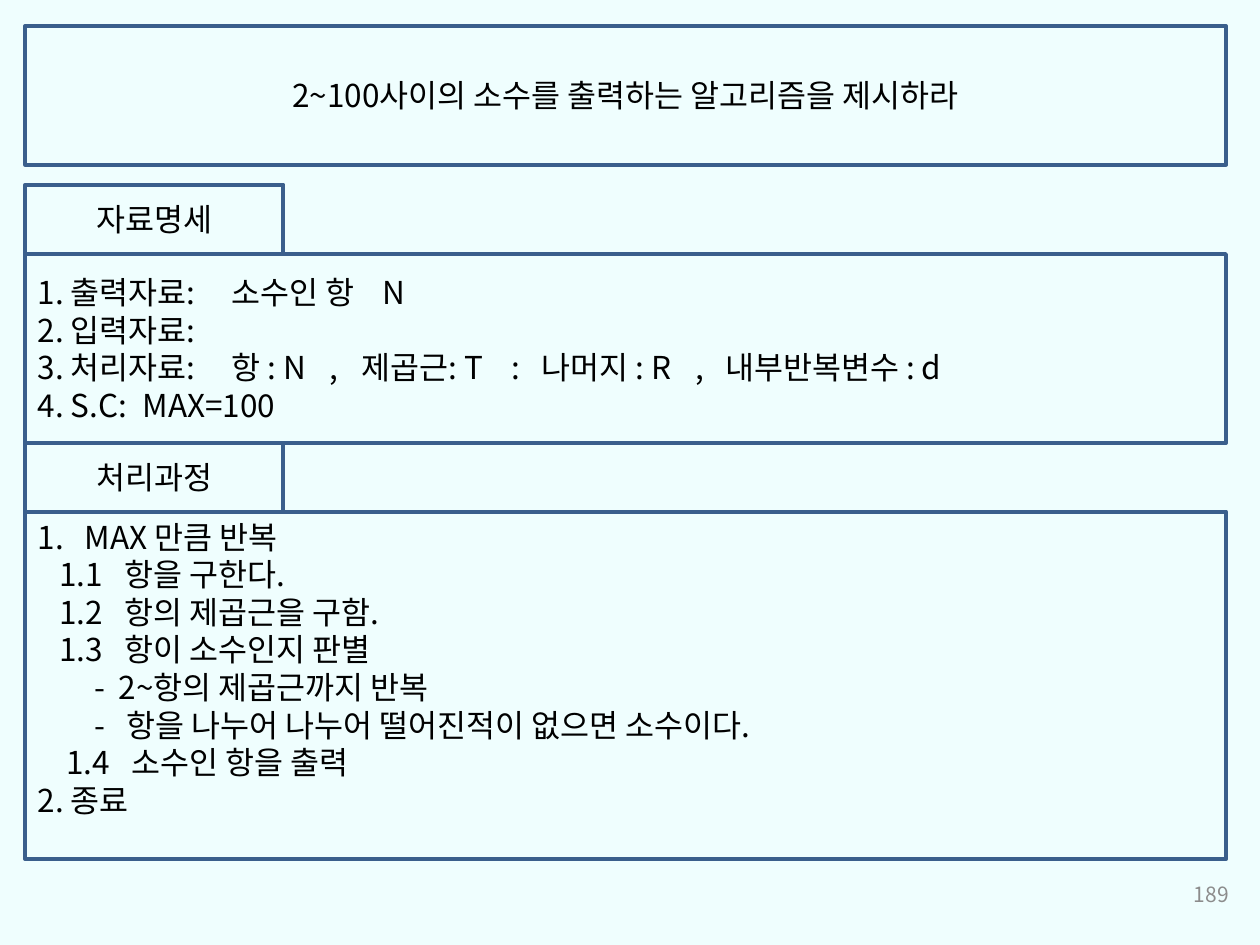
import dataclasses

import lxml.etree
import pptx
import pptx.dml.color
import pptx.enum.shapes
import pptx.enum.text
import pptx.oxml.ns
import pptx.util

Pt = pptx.util.Pt
RGB = pptx.dml.color.RGBColor.from_string
ALIGN = pptx.enum.text.PP_ALIGN
ANCHOR = pptx.enum.text.MSO_ANCHOR


@dataclasses.dataclass(frozen=True)
class Theme:
    font: str = "Noto Sans CJK KR"
    back: str = "EFFEFE"
    ink: str = "000000"
    edge: str = "3A5F8C"
    gray: str = "8C8C8C"
    body: float = 18
    small: float = 12
    line: float = 2.25
    pitch: float = 21.5


def child(node, tag, **attrs):
    name = pptx.oxml.ns.qn(tag)
    return lxml.etree.SubElement(node, name, {k: str(v) for k, v in attrs.items()})


def write(para, text, font, size, color, align=ALIGN.LEFT, pitch=None,
          left=0, hang=0, number=False, tabs=()):
    """Fill a paragraph; left, hang and tabs are in points."""
    props = para._p.get_or_add_pPr()
    if left:
        props.set("marL", str(Pt(left)))
        props.set("indent", str(Pt(-hang)))
    if number:
        child(props, "a:buFont", typeface=font)
        child(props, "a:buAutoNum", type="arabicPeriod")
    if tabs:
        stops = child(props, "a:tabLst")
        for stop in tabs:
            child(stops, "a:tab", pos=Pt(stop), algn="l")
    para.alignment = align
    if pitch:
        para.line_spacing = Pt(pitch)
    run = para.add_run()
    run.text = text
    run.font.size = Pt(size)
    run.font.color.rgb = RGB(color)
    run.font.name = font
    child(run._r.get_or_add_rPr(), "a:ea", typeface=font)


class Page:
    def __init__(self, slide, theme):
        self.slide = slide
        self.theme = theme
        fill = slide.background.fill
        fill.solid()
        fill.fore_color.rgb = RGB(theme.back)

    def box(self, x, y, w, h, rows, anchor=ANCHOR.MIDDLE, **style):
        """Draw an outlined box; each row is a text and its format."""
        look = self.theme
        kind = pptx.enum.shapes.MSO_SHAPE.RECTANGLE
        shape = self.slide.shapes.add_shape(kind, Pt(x), Pt(y), Pt(w), Pt(h))
        shape.shadow.inherit = False
        shape.fill.background()
        shape.line.color.rgb = RGB(look.edge)
        shape.line.width = Pt(look.line)
        frame = shape.text_frame
        frame.word_wrap = True
        frame.vertical_anchor = anchor
        for i, (text, form) in enumerate(rows):
            para = frame.add_paragraph() if i else frame.paragraphs[0]
            write(para, text, look.font, look.body, look.ink,
                  pitch=look.pitch, **style, **form)

    def label(self, x, y, w, h, text):
        self.box(x, y, w, h, [(text, {})], align=ALIGN.CENTER)

    def number(self, x, y, w, h, text):
        look = self.theme
        frame = self.slide.shapes.add_textbox(Pt(x), Pt(y), Pt(w), Pt(h)).text_frame
        frame.word_wrap = True
        frame.vertical_anchor = ANCHOR.MIDDLE
        write(frame.paragraphs[0], text, look.font, look.small, look.gray,
              align=ALIGN.RIGHT)


def main():
    deck = pptx.Presentation()
    deck.slide_width, deck.slide_height = Pt(720), Pt(540)
    page = Page(deck.slides.add_slide(deck.slide_layouts[6]), Theme())

    left, wide, tab, tall = 14.4, 686.2, 147.6, 39.6
    data = [
        ("1. 출력자료:\t소수인 항\tN", dict(tabs=(111, 197))),
        ("2. 입력자료:", {}),
        ("3. 처리자료:\t항 : N\t,\t제곱근: T\t:\t나머지 : R\t,\t내부반복변수 : d",
         dict(tabs=(111, 167, 185, 271, 288, 376, 393))),
        ("4. S.C:\tMAX=100", dict(tabs=(60,))),
    ]
    step = dict(left=49.5, hang=37)
    steps = [
        ("MAX 만큼 반복", dict(left=27, hang=27, number=True)),
        ("1.1\t항을 구한다.", step),
        ("1.2\t항의 제곱근을 구함.", step),
        ("1.3\t항이 소수인지 판별", step),
        ("-\t2~항의 제곱근까지 반복", dict(left=46.5, hang=14)),
        ("-\t항을 나누어 나누어 떨어진적이 없으면 소수이다.", dict(left=51, hang=18.5)),
        ("1.4\t소수인 항을 출력", dict(left=53.5, hang=37)),
        ("2. 종료", {}),
    ]

    page.label(left, 15, wide, 79.2, "2~100사이의 소수를 출력하는 알고리즘을 제시하라")
    page.label(left, 105.6, tab, tall, "자료명세")
    page.box(left, 145.2, wide, 108, data)
    page.label(left, 253, tab, tall, "처리과정")
    page.box(left, 292.4, wide, 198.6, steps, anchor=ANCHOR.TOP)
    page.number(541.5, 496.8, 167.8, 28.8, "189")
    deck.save("out.pptx")


if __name__ == "__main__":
    main()
